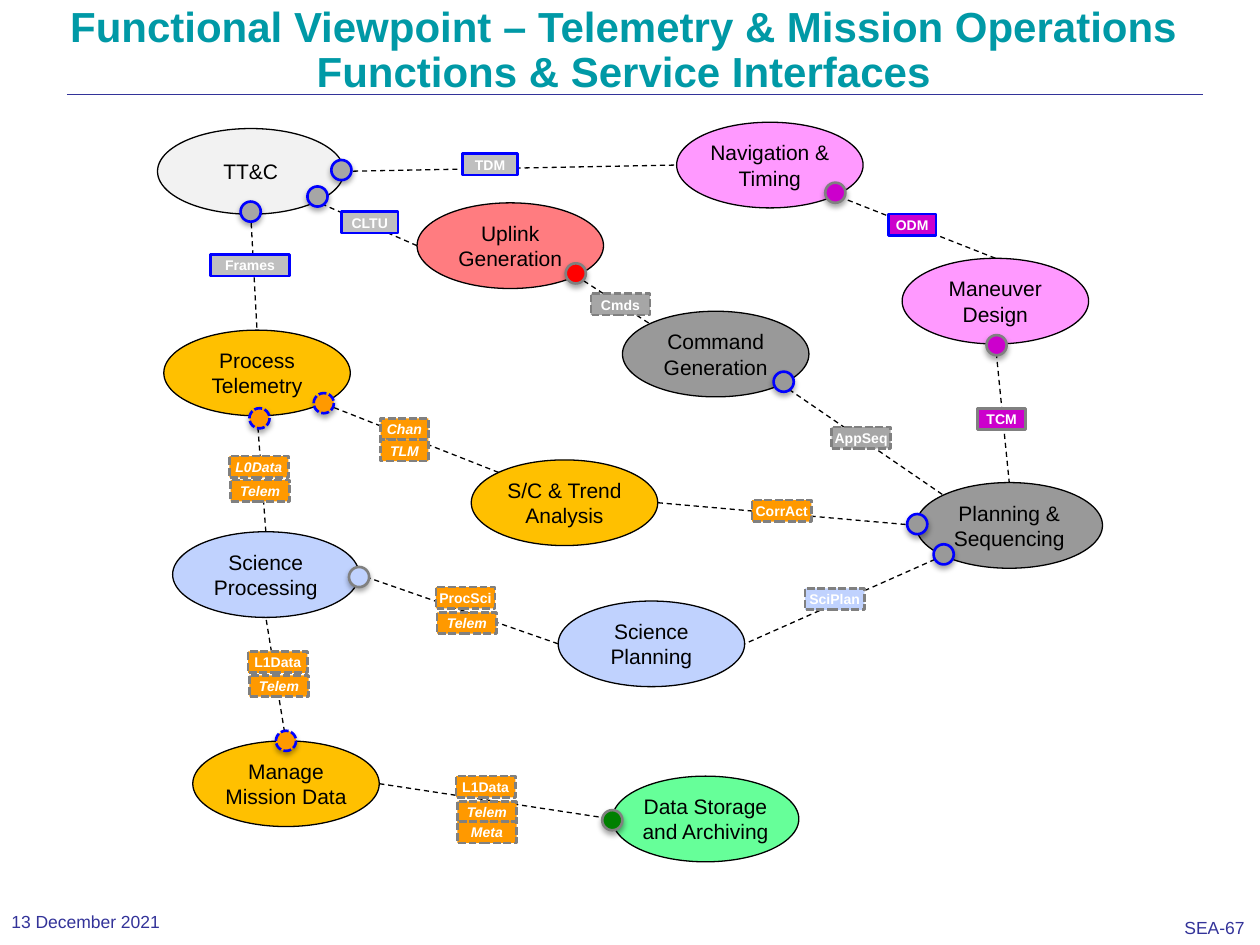
"""Build the telemetry and mission operations functional viewpoint slide."""
from dataclasses import dataclass
from math import sqrt

from lxml.etree import SubElement
from pptx import Presentation
from pptx.dml.color import RGBColor
from pptx.enum.dml import MSO_LINE
from pptx.enum.shapes import MSO_CONNECTOR, MSO_SHAPE
from pptx.enum.text import MSO_ANCHOR, MSO_AUTO_SIZE, PP_ALIGN
from pptx.oxml.ns import qn
from pptx.util import Inches, Pt

FONT = "Arial"
BLACK, WHITE, NAVY, TEAL = "000000", "FFFFFF", "333399", "0099A6"
BLUE, GRAY, SILVER, ASH, STEEL = "0000FF", "808080", "BFBFBF", "A6A6A6", "999999"
ORANGE, AMBER, PURPLE, PINK, ICE = "FF9900", "FFC000", "CC00CC", "FF99FF", "C0D2FE"
FUNCTION_WIDTH, FUNCTION_HEIGHT = 1.48, 0.68
PORT_SIZE, LABEL_HEIGHT = 0.16, 0.17
DIAGONAL = sqrt(0.5)
SITES = {
    "top": (0, -1), "bottom": (0, 1), "left": (-1, 0), "right": (1, 0),
    "top left": (-DIAGONAL, -DIAGONAL),
    "bottom left": (-DIAGONAL, DIAGONAL), "bottom right": (DIAGONAL, DIAGONAL),
}


@dataclass
class Function:
    text: str
    left: float
    top: float
    fill: str

    def site(self, name: str) -> tuple[float, float]:
        across, down = SITES[name]
        return (self.left + FUNCTION_WIDTH / 2 * (1 + across),
                self.top + FUNCTION_HEIGHT / 2 * (1 + down))


@dataclass
class Port:
    left: float
    top: float
    fill: str
    border: str = BLUE
    dashed: bool = False


@dataclass
class Label:
    text: str
    left: float
    top: float
    width: float = 0.47
    fill: str = ORANGE
    border: str = GRAY
    dashed: bool = True
    italic: bool = False


FUNCTIONS = {
    "tracking": Function("TT&C", 1.25, 1.02, "F2F2F2"),
    "navigation": Function("Navigation & Timing", 5.37, 0.97, PINK),
    "uplink": Function("Uplink Generation", 3.31, 1.61, "FF7C80"),
    "maneuver": Function("Maneuver Design", 7.16, 2.05, PINK),
    "command": Function("Command Generation", 4.94, 2.47, STEEL),
    "telemetry": Function("Process Telemetry", 1.3, 2.62, AMBER),
    "trend": Function("S/C & Trend Analysis", 3.74, 3.65, AMBER),
    "sequencing": Function("Planning & Sequencing", 7.27, 3.83, STEEL),
    "processing": Function("Science\nProcessing", 1.37, 4.22, ICE),
    "science": Function("Science Planning", 4.43, 4.77, ICE),
    "manage": Function("Manage Mission Data", 1.53, 5.88, AMBER),
    "storage": Function("Data Storage and Archiving", 4.86, 6.16, "66FF99"),
}
LINKS = [
    ("tracking", "bottom", "telemetry", "top"),
    ("tracking", "right", "navigation", "left"),
    ("uplink", "left", "tracking", "bottom right"),
    ("uplink", "bottom right", "command", "top left"),
    ("maneuver", "top", "navigation", "bottom right"),
    ("maneuver", "bottom", "sequencing", "top"),
    ("command", "bottom right", "sequencing", "top left"),
    ("trend", "top left", "telemetry", "bottom right"),
    ("trend", "right", "sequencing", "left"),
    ("sequencing", "bottom left", "science", "right"),
    ("processing", "top", "telemetry", "bottom"),
    ("science", "left", "processing", "right"),
    ("manage", "top", "processing", "bottom"),
    ("manage", "right", "storage", "left"),
]
PORTS = [
    Port(1.91, 1.6, ASH), Port(2.44, 1.48, ASH), Port(2.63, 1.27, ASH),
    Port(6.14, 2.95, STEEL), Port(7.2, 4.08, STEEL), Port(7.41, 4.32, STEEL),
    Port(7.83, 2.66, PURPLE, GRAY), Port(6.55, 1.45, PURPLE, GRAY),
    Port(4.49, 2.09, "FF0000", GRAY), Port(2.77, 4.5, ICE, GRAY),
    Port(4.78, 6.43, "008000", GRAY), Port(2.19, 5.8, ORANGE, dashed=True),
    Port(1.98, 3.24, ORANGE, dashed=True), Port(2.49, 3.12, ORANGE, dashed=True),
]
LABELS = [
    Label("TDM", 3.67, 1.22, 0.44, SILVER, BLUE, False),
    Label("CLTU", 2.71, 1.68, 0.45, SILVER, BLUE, False),
    Label("Frames", 1.67, 2.02, 0.63, SILVER, BLUE, False),
    Label("ODM", 7.05, 1.7, 0.38, PURPLE, BLUE, False),
    Label("TCM", 7.76, 3.24, 0.38, PURPLE, GRAY, False),
    Label("Cmds", 4.69, 2.33, fill=ASH),
    Label("AppSeq", 6.6, 3.39, fill=ASH),
    Label("SciPlan", 6.39, 4.67, fill=ICE),
    Label("CorrAct", 5.97, 3.97),
    Label("Chan", 3.02, 3.32, 0.38, italic=True),
    Label("TLM", 3.02, 3.49, 0.38, italic=True),
    Label("L0Data", 1.82, 3.62, italic=True),
    Label("Telem", 1.83, 3.81, italic=True),
    Label("ProcSci", 3.46, 4.66),
    Label("Telem", 3.47, 4.86, italic=True),
    Label("L1Data", 1.97, 5.17),
    Label("Telem", 1.98, 5.36, italic=True),
    Label("L1Data", 3.62, 6.16),
    Label("Telem", 3.63, 6.36, italic=True),
    Label("Meta", 3.63, 6.52, italic=True),
]


def rgb(color: str) -> RGBColor:
    return RGBColor.from_string(color)


def write(shape, text: str, size: float, color: str, align=PP_ALIGN.CENTER,
          anchor=MSO_ANCHOR.TOP, margins=(0.1, 0.05), wrap=True,
          bold=False, italic=False) -> None:
    frame = shape.text_frame
    frame.text = text
    frame.auto_size = MSO_AUTO_SIZE.NONE
    frame.word_wrap = wrap
    frame.vertical_anchor = anchor
    frame.margin_left = frame.margin_right = Inches(margins[0])
    frame.margin_top = frame.margin_bottom = Inches(margins[1])
    for para in frame.paragraphs:
        para.alignment = align
        for span in para.runs:
            span.font.name, span.font.size = FONT, Pt(size)
            span.font.bold, span.font.italic = bold, italic
            span.font.color.rgb = rgb(color)


def draw_line(page, start, end, color: str, width: float, dashed=False) -> None:
    line = page.shapes.add_connector(
        MSO_CONNECTOR.STRAIGHT, *(Inches(value) for value in (*start, *end)))
    line.line.color.rgb = rgb(color)
    line.line.width = Pt(width)
    if dashed:
        line.line.dash_style = MSO_LINE.DASH
    SubElement(line._element.spPr, qn("a:effectLst"))


def draw_shape(page, kind, bounds, fill: str, border: str, width: float, dashed=False):
    shape = page.shapes.add_shape(kind, *(Inches(value) for value in bounds))
    shape.shadow.inherit = False
    shape.fill.solid()
    shape.fill.fore_color.rgb = rgb(fill)
    shape.line.color.rgb = rgb(border)
    shape.line.width = Pt(width)
    if dashed:
        shape.line.dash_style = MSO_LINE.SQUARE_DOT
    return shape


def draw_function(page, item: Function) -> None:
    bounds = (item.left, item.top, FUNCTION_WIDTH, FUNCTION_HEIGHT)
    oval = draw_shape(page, MSO_SHAPE.OVAL, bounds, item.fill, BLACK, 0.75)
    write(oval, item.text, 12, BLACK, anchor=MSO_ANCHOR.MIDDLE, margins=(0, 0.05))


def draw_port(page, port: Port) -> None:
    bounds = (port.left, port.top, PORT_SIZE, PORT_SIZE)
    dot = draw_shape(page, MSO_SHAPE.OVAL, bounds, port.fill, port.border, 1.5, port.dashed)
    effects = dot._element.spPr.find(qn("a:effectLst"))
    shadow = SubElement(effects, qn("a:outerShdw"), blurRad=str(Pt(3.1)),
                        dist=str(Pt(1.8)), dir="5400000", rotWithShape="0")
    color = SubElement(shadow, qn("a:srgbClr"), val=BLACK)
    SubElement(color, qn("a:alpha"), val="35000")


def draw_label(page, label: Label) -> None:
    bounds = (label.left, label.top, label.width, LABEL_HEIGHT)
    box = draw_shape(page, MSO_SHAPE.RECTANGLE, bounds, label.fill, label.border, 1.5, label.dashed)
    write(box, label.text, 8, WHITE, margins=(0.02, 0.02), wrap=False,
          bold=True, italic=label.italic)


def draw_footer(page, text: str, bounds, anchor) -> None:
    box = page.shapes.add_textbox(*(Inches(value) for value in bounds))
    write(box, text, 10, NAVY, PP_ALIGN.LEFT, anchor, (0.09, 0.04), wrap=False)


def main() -> None:
    deck = Presentation()
    deck.slide_width, deck.slide_height = Inches(10), Inches(7.5)
    page = deck.slides.add_slide(deck.slide_layouts[5])
    title = page.shapes.title
    title.left, title.top, title.width, title.height = (
        Inches(value) for value in (0.45, 0, 9, 1.25))
    write(title, "Functional Viewpoint – Telemetry & Mission Operations "
          "Functions & Service Interfaces", 24, TEAL, margins=(0.05, 0.05), bold=True)
    title.text_frame.paragraphs[0].line_spacing = 0.9
    draw_line(page, (0.53, 0.75), (9.55, 0.75), NAVY, 0.13)
    draw_footer(page, "13 December 2021", (0, 7.17, 1.89, 0.29), MSO_ANCHOR.MIDDLE)
    draw_footer(page, "SEA-67", (9.31, 7.24, 0.68, 0.26), MSO_ANCHOR.TOP)
    for source, exit_site, target, entry_site in LINKS:
        draw_line(page, FUNCTIONS[source].site(exit_site),
                  FUNCTIONS[target].site(entry_site), BLACK, 0.75, dashed=True)
    for item in FUNCTIONS.values():
        draw_function(page, item)
    for port in PORTS:
        draw_port(page, port)
    for label in LABELS:
        draw_label(page, label)
    deck.save("out.pptx")


if __name__ == "__main__":
    main()
